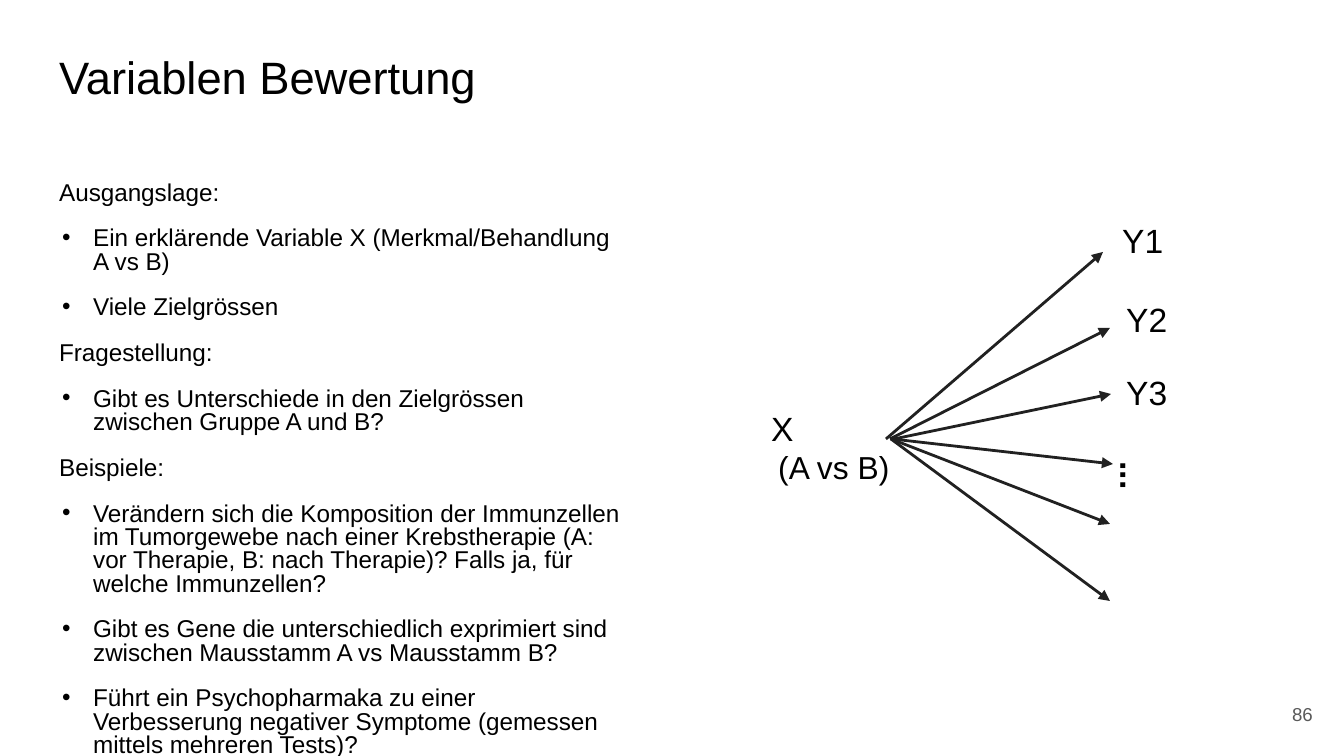
from dataclasses import dataclass

from pptx import Presentation
from pptx.dml.color import RGBColor
from pptx.enum.shapes import MSO_CONNECTOR as Connector
from pptx.enum.text import MSO_ANCHOR as Anchor, PP_ALIGN as Align
from pptx.oxml.ns import qn
from pptx.util import Pt
from lxml.etree import SubElement


@dataclass(frozen=True)
class Theme:
    font: str = "Arial"
    black: str = "000000"
    arrow: str = "212121"
    muted: str = "595959"
    title: float = 24.3
    body: float = 13
    label: float = 18
    sublabel: float = 17
    number: float = 10
    arrow_width: float = 1.5


# Content
TITLE = "Variablen Bewertung"
SECTIONS = [
    ("Ausgangslage:", [
        "Ein erklärende Variable X (Merkmal/Behandlung A vs B)",
        "Viele Zielgrössen",
    ]),
    ("Fragestellung:", [
        "Gibt es Unterschiede in den Zielgrössen zwischen Gruppe A und B?",
    ]),
    ("Beispiele:", [
        "Verändern sich die Komposition der Immunzellen im Tumorgewebe nach einer "
        "Krebstherapie (A: vor Therapie, B: nach Therapie)? Falls ja, für welche "
        "Immunzellen?",
        "Gibt es Gene die unterschiedlich exprimiert sind zwischen Mausstamm A vs "
        "Mausstamm B?",
        "Führt ein Psychopharmaka zu einer Verbesserung negativer Symptome "
        "(gemessen mittels mehreren Tests)?",
    ]),
]
# Target labels: text, left, top
TARGETS = [("Y1", 1109, 207), ("Y2", 1113, 286), ("Y3", 1113, 359)]
# Arrows: start x, end x, end y
ARROW_START_Y = 439
ARROWS = [
    (890, 1110, 328),
    (894, 1111, 394),
    (892, 1113, 464),
    (891, 1110, 524),
    (891, 1110, 601),
    (886, 1103, 252),
]
PAGE_NUMBER = "86"

# Layout in px
WIDTH, HEIGHT = 1344, 756
INSET = 13.44
BULLET_LEFT, BULLET_HANG = 34, 31
THEME = Theme()


def px(length):
    return round(length * 9144000 / WIDTH)


def add_box(page, left, top, width, height):
    box = page.shapes.add_textbox(px(left), px(top), px(width), px(height))
    frame = box.text_frame
    frame.word_wrap = True
    frame.margin_left = frame.margin_right = px(INSET)
    frame.margin_top = frame.margin_bottom = px(INSET)
    return box


def add_para(box, text, size, color=THEME.black, bold=False):
    frame = box.text_frame
    para = frame.paragraphs[0]
    if para.runs:
        para = frame.add_paragraph()
    span = para.add_run()
    span.text = text
    span.font.name = THEME.font
    span.font.size = Pt(size)
    span.font.bold = bold
    span.font.color.rgb = RGBColor.from_string(color)
    return para


def set_indent(para, left, hang=0):
    properties = para._p.get_or_add_pPr()
    properties.set("marL", str(px(left)))
    properties.set("indent", str(-px(hang)))
    return properties


def set_bullet(para):
    properties = set_indent(para, BULLET_LEFT, BULLET_HANG)
    color = SubElement(properties, qn("a:buClr"))
    SubElement(color, qn("a:srgbClr"), val=THEME.black)
    SubElement(properties, qn("a:buFont"), typeface=THEME.font)
    SubElement(properties, qn("a:buChar"), char="•")


def add_arrow(page, start_x, start_y, end_x, end_y):
    arrow = page.shapes.add_connector(
        Connector.STRAIGHT, px(start_x), px(start_y), px(end_x), px(end_y))
    arrow.line.color.rgb = RGBColor.from_string(THEME.arrow)
    arrow.line.width = Pt(THEME.arrow_width)
    SubElement(arrow.line._get_or_add_ln(), qn("a:tailEnd"), type="triangle")
    SubElement(arrow._element.spPr, qn("a:effectLst"))


def add_body(page):
    box = add_box(page, 46, 169, 587, 503)
    rows = [(text, bullet) for heading, points in SECTIONS
            for text, bullet in [(heading, False)] + [(p, True) for p in points]]
    for index, (text, bullet) in enumerate(rows):
        para = add_para(box, text, THEME.body)
        if bullet:
            set_bullet(para)
        para.line_spacing = 0.8
        para.space_before = Pt(12 if index else 0)


def add_diagram(page):
    for start_x, end_x, end_y in ARROWS:
        add_arrow(page, start_x, ARROW_START_Y, end_x, end_y)

    source = add_box(page, 751, 394, 169, 106)
    set_indent(add_para(source, "X", THEME.label), 7)
    set_indent(add_para(source, "(A vs B)", THEME.sublabel), 14)

    for text, left, top in TARGETS:
        add_para(add_box(page, left, top, 144, 67), text, THEME.label)

    dots = add_box(page, 1082, 485, 142, 69)
    dots.rotation = 90
    add_para(dots, "...", THEME.label, bold=True).line_spacing = 1.5


def main():
    deck = Presentation()
    deck.slide_width, deck.slide_height = px(WIDTH), px(HEIGHT)
    page = deck.slides.add_slide(deck.slide_layouts[6])

    # Title and text column
    add_para(add_box(page, 46, 36, 1253, 85), TITLE, THEME.title)
    add_body(page)

    # One variable pointing at many targets
    add_diagram(page)

    # Page number
    number = add_box(page, 1246, 685, 80, 58)
    number.text_frame.vertical_anchor = Anchor.MIDDLE
    add_para(number, PAGE_NUMBER, THEME.number, THEME.muted).alignment = Align.RIGHT

    deck.save("out.pptx")


if __name__ == "__main__":
    main()
